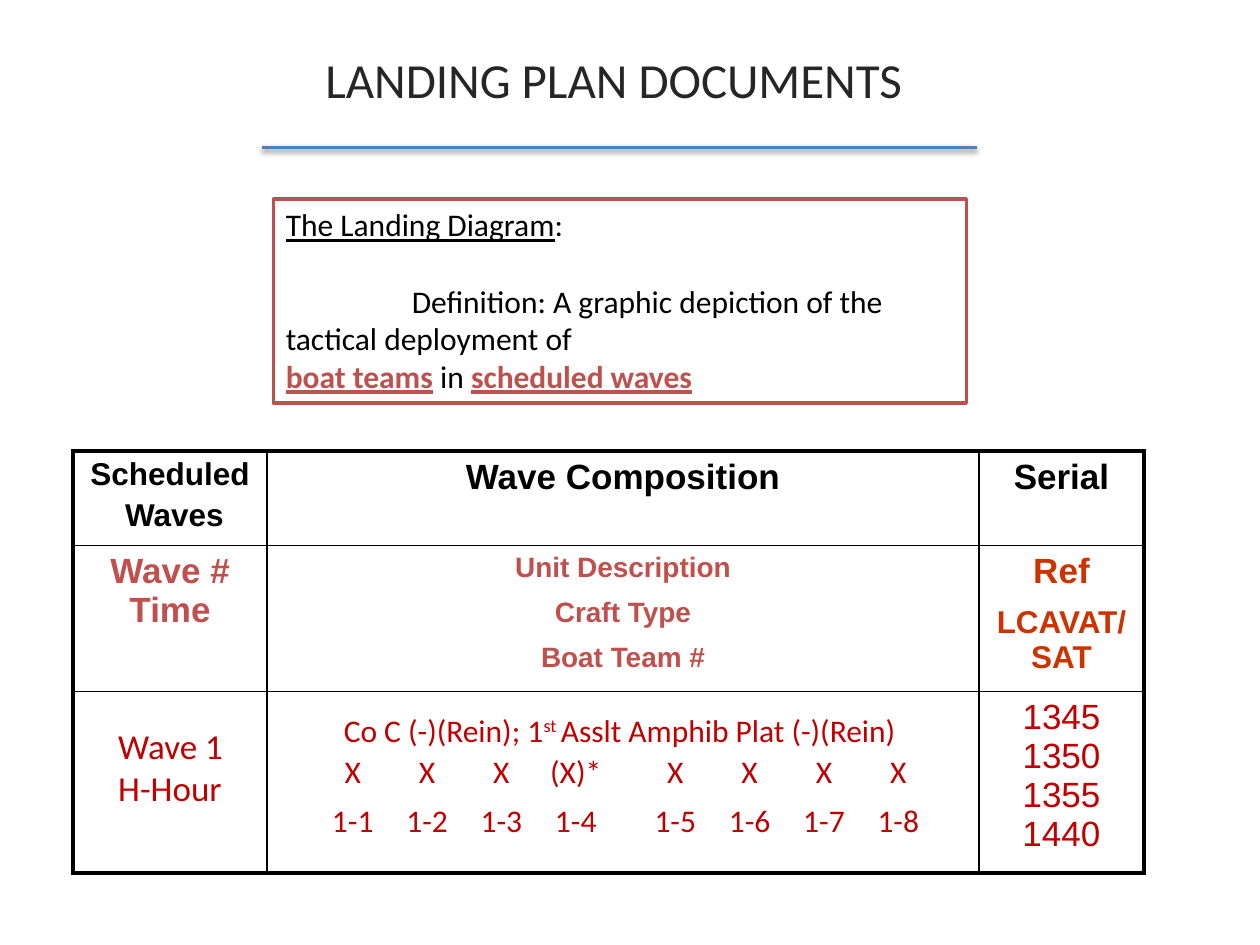
from pptx import Presentation
from pptx.dml.color import RGBColor
from pptx.enum.shapes import MSO_CONNECTOR, MSO_SHAPE
from pptx.enum.text import MSO_ANCHOR, PP_ALIGN
from pptx.oxml import parse_xml
from pptx.oxml.ns import nsdecls
from pptx.util import Inches, Pt

BLACK, ROSE, RED, RUST = "000000", "C0504D", "C00000", "CC3300"
THIN, THICK = 1, 2.25

TITLE = "LANDING PLAN DOCUMENTS"
BODY = {"size": 18, "name": "Calibri", "color": BLACK}
KEY = {"color": ROSE, "bold": True, "underline": True}
# Each paragraph is a list of (text, format changes) runs.
DEFINITION = [
    [("The Landing Diagram", {"underline": True}), (":", {})],
    [("Definition: A graphic depiction of the tactical deployment of\v", {}),
     ("boat teams", KEY), (" in ", {}), ("scheduled waves", KEY)],
]

COLS, ROWS = (1.54, 5.65, 1.31), (0.75, 1.16, 1.44)
HEAD = {"name": "Arial", "bold": True, "color": BLACK, "size": 20}
SMALL = {"size": 18}
# Each cell is a list of (text, format changes) paragraphs.
CELLS = [
    [[("Scheduled", SMALL), (" Waves", SMALL)],
     [("Wave Composition", {})],
     [("Serial", {})]],
    [[("Wave # Time", {"color": ROSE})],
     [(t, {"color": ROSE, "size": 16})
      for t in ("Unit Description", "Craft Type", "Boat Team #")],
     [("Ref", {"color": RUST}), ("LCAVAT/ SAT", {"color": RUST, "size": 18})]],
    [[], [], [("1345 1350 1355 1440", {"color": RED, "bold": False})]],
]
GAPS = (3, 8, 3)  # space between paragraphs, by table row

UNIT = [("Co C (-)(Rein); 1", {}), ("st ", {"base": 30000}),
        ("Asslt Amphib Plat (-)(Rein)", {})]
CRAFT = ("X", "X", "X", "(X)*", "X", "X", "X", "X")
TEAMS = [f"1-{n}" for n in range(1, 9)]
LANES = [start + 0.59 * n for start in (2.8, 5.36) for n in range(4)]
WAVE = ("Wave 1", "H-Hour")
RED_TEXT = {**BODY, "color": RED}


def rgb(code):
    return RGBColor.from_string(code)


def style(font, **values):
    for key, value in values.items():
        if key == "color":
            font.color.rgb = rgb(value)
        else:
            setattr(font, key, Pt(value) if key == "size" else value)


def write(para, runs, base):
    for text, change in runs:
        change = dict(change)
        lift = change.pop("base", None)
        for n, part in enumerate(text.split("\v")):
            if n:
                para.add_line_break()
            if part:
                run = para.add_run()
                run.text = part
                style(run.font, **{**base, **change})
                if lift:
                    run._r.get_or_add_rPr().set("baseline", str(lift))


def fill_frame(frame, paras, base, gap=0, align=None):
    for n, runs in enumerate(paras):
        para = frame.add_paragraph() if n else frame.paragraphs[0]
        para.alignment = align
        if n:
            para.space_before = Pt(gap)
        write(para, runs, base)


def add_text(slide, box, paras, base):
    frame = slide.shapes.add_textbox(*map(Inches, box)).text_frame
    frame.word_wrap = False
    fill_frame(frame, paras, base)
    return frame


def add_lanes(slide, top, labels):
    """One line of labels, each centred on its lane by a tab stop."""
    left = 2.4
    frame = add_text(slide, (left, top, 5.2, 0.4), [], RED_TEXT)
    frame.word_wrap = True
    frame.margin_left = frame.margin_right = 0
    para = frame.paragraphs[0]
    stops = "".join(f'<a:tab pos="{Inches(x - left)}" algn="ctr"/>' for x in LANES)
    para._p.get_or_add_pPr().append(
        parse_xml(f'<a:tabLst {nsdecls("a")}>{stops}</a:tabLst>'))
    write(para, [("".join("\t" + t for t in labels), {})], RED_TEXT)


def set_borders(cell, row, col):
    edges = {"lnL": col == 0, "lnR": col == len(COLS) - 1,
             "lnT": row == 0, "lnB": row == len(ROWS) - 1}
    for tag, outer in edges.items():
        width = Pt(THICK if outer else THIN)
        cell._tc.get_or_add_tcPr().append(parse_xml(
            f'<a:{tag} {nsdecls("a")} w="{width}"><a:solidFill>'
            f'<a:srgbClr val="{BLACK}"/></a:solidFill></a:{tag}>'))


def add_plan(slide):
    table = slide.shapes.add_table(
        len(ROWS), len(COLS), Inches(0.58), Inches(3.58),
        Inches(sum(COLS)), Inches(sum(ROWS))).table
    table.first_row = table.horz_banding = False
    for col, width in zip(table.columns, COLS):
        col.width = Inches(width)
    for r, height in enumerate(ROWS):
        table.rows[r].height = Inches(height)
        for c, paras in enumerate(CELLS[r]):
            cell = table.cell(r, c)
            set_borders(cell, r, c)
            cell.fill.background()
            fill_frame(cell.text_frame, [[p] for p in paras], HEAD,
                       GAPS[r], PP_ALIGN.CENTER)


def add_title(slide):
    title = slide.shapes.title
    title.left, title.top, title.width, title.height = map(
        Inches, (0.42, 0, 8.9, 1.25))
    title.text_frame.vertical_anchor = MSO_ANCHOR.MIDDLE
    fill_frame(title.text_frame, [[(TITLE, {})]],
               {"size": 28, "name": "Calibri", "color": "262626"},
               align=PP_ALIGN.CENTER)
    rule = slide.shapes.add_connector(
        MSO_CONNECTOR.STRAIGHT, *map(Inches, (2.08, 1.17, 7.75, 1.17)))
    rule.line.color.rgb, rule.line.width = rgb("4F81BD"), Pt(2)
    rule._element.spPr.append(parse_xml(
        f'<a:effectLst {nsdecls("a")}><a:outerShdw blurRad="{Pt(3.1)}" '
        f'dist="{Pt(1.6)}" dir="5400000" rotWithShape="0"><a:srgbClr val="{BLACK}">'
        '<a:alpha val="38000"/></a:srgbClr></a:outerShdw></a:effectLst>'))


def add_definition(slide):
    box = slide.shapes.add_shape(
        MSO_SHAPE.RECTANGLE, *map(Inches, (2.17, 1.58, 5.5, 1.62)))
    box.shadow.inherit = False
    box.fill.solid()
    box.fill.fore_color.rgb = rgb("FFFFFF")
    box.line.color.rgb, box.line.width = rgb(ROSE), Pt(2)
    frame = box.text_frame
    frame.word_wrap, frame.vertical_anchor = True, MSO_ANCHOR.TOP
    fill_frame(frame, DEFINITION, BODY, gap=22, align=PP_ALIGN.LEFT)
    frame.paragraphs[1]._p.get_or_add_pPr().set("indent", str(Inches(1)))


def main():
    deck = Presentation()
    deck.slide_width, deck.slide_height = Inches(10), Inches(7.5)
    slide = deck.slides.add_slide(deck.slide_layouts[5])
    add_title(slide)
    add_definition(slide)
    add_plan(slide)
    add_text(slide, (2.63, 5.59, 4.68, 0.4), [UNIT], RED_TEXT)
    add_lanes(slide, 5.92, CRAFT)
    add_lanes(slide, 6.31, TEAMS)
    add_text(slide, (0.84, 5.7, 1.04, 0.77), [[(t, {})] for t in WAVE],
             {**RED_TEXT, "size": 20})
    deck.save("out.pptx")


if __name__ == "__main__":
    main()
